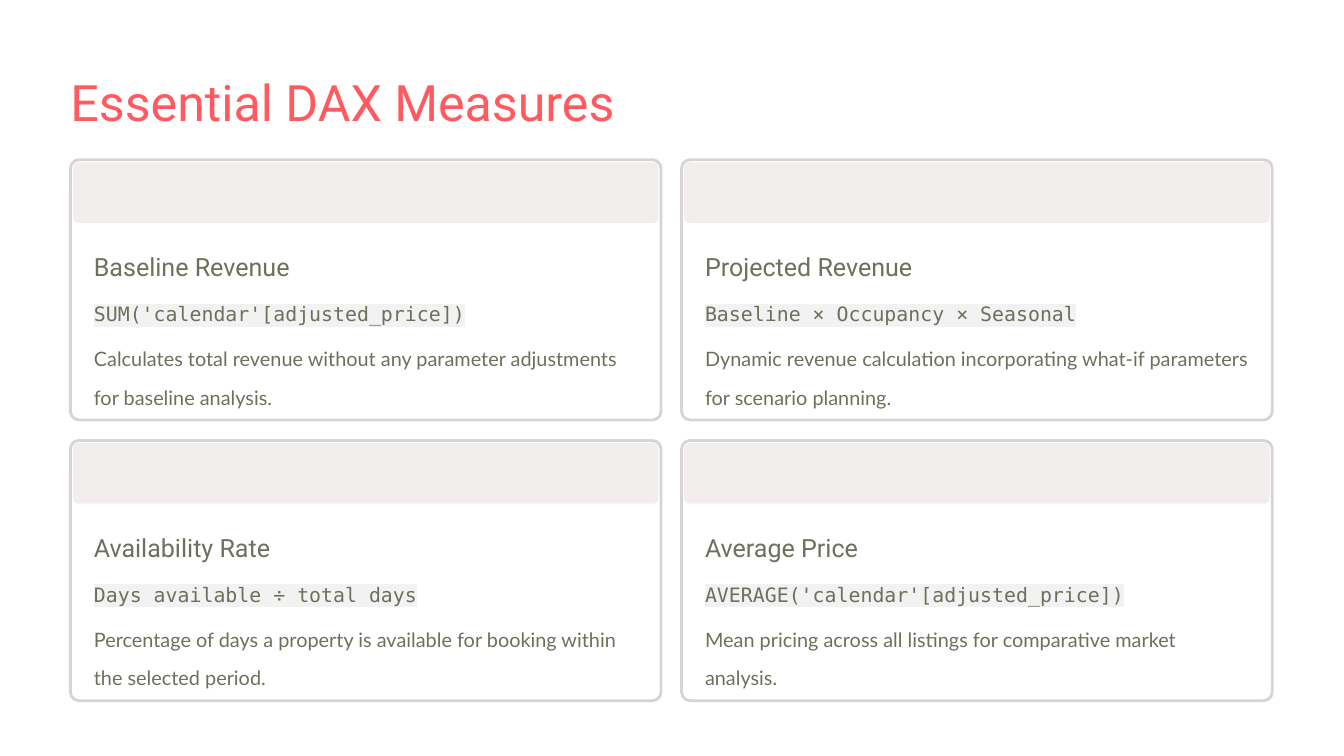
from lxml import etree
from pptx import Presentation
from pptx.dml.color import RGBColor
from pptx.enum.shapes import MSO_SHAPE
from pptx.enum.text import MSO_ANCHOR, MSO_AUTO_SIZE, PP_ALIGN
from pptx.oxml.ns import qn
from pptx.util import Cm, Pt

ROUNDED = MSO_SHAPE.ROUNDED_RECTANGLE
TOP = MSO_ANCHOR.TOP
NO_FIT = MSO_AUTO_SIZE.NONE
LEFT = PP_ALIGN.LEFT

# Content
TITLE = "Essential DAX Measures"
MEASURES = [
    ("Baseline Revenue", "SUM('calendar'[adjusted_price])",
     "Calculates total revenue without any parameter adjustments for baseline analysis."),
    ("Projected Revenue", "Baseline × Occupancy × Seasonal",
     "Dynamic revenue calculation incorporating what-if parameters for scenario planning."),
    ("Availability Rate", "Days available ÷ total days",
     "Percentage of days a property is available for booking within the selected period."),
    ("Average Price", "AVERAGE('calendar'[adjusted_price])",
     "Mean pricing across all listings for comparative market analysis."),
]

# Style
COLORS = {"title": "FF5A5F", "text": "6F6F5D", "card": "FFFFFF",
          "border": "D8D4D4", "band": "F2EEEE", "code": "F2F2F2"}

# Layout in centimetres
COLUMNS = 2
GRID_LEFT, GRID_TOP = 2.13, 4.83
CARD_WIDTH, CARD_HEIGHT, GAP = 17.86, 7.87, 0.62
BAND_INSET, BAND_HEIGHT = 0.08, 1.83
TEXT_INSET, TEXT_WIDTH = 0.71, 16.48
# Offset from card top, width, height, font, size, line spacing, highlight
TEXT_ROWS = [
    (2.54, 7.67, 0.97, "Roboto", 21.5, 1.26, None),
    (3.86, TEXT_WIDTH, 0.99, "DejaVu Sans Mono", 17, 1.62, "code"),
    (5.21, TEXT_WIDTH, 1.96, "Lato", 17, 1.62, None),
]


def rgb(name):
    return RGBColor.from_string(COLORS[name])


def write(box, text, font, size, color, spacing, highlight=None):
    frame = box.text_frame
    frame.text = text
    frame.word_wrap = True
    frame.auto_size = NO_FIT
    frame.vertical_anchor = TOP
    frame.margin_left = frame.margin_right = 0
    frame.margin_top = frame.margin_bottom = 0
    para = frame.paragraphs[0]
    para.alignment = LEFT
    para.line_spacing = spacing
    span = para.runs[0]
    span.font.name = font
    span.font.size = Pt(size)
    span.font.color.rgb = rgb(color)
    if highlight:
        mark = etree.Element(qn("a:highlight"))
        etree.SubElement(mark, qn("a:srgbClr"), val=COLORS[highlight])
        span.font._element.find(qn("a:solidFill")).addnext(mark)


def add_panel(page, left, top, width, height, rounding, fill, border=None):
    panel = page.shapes.add_shape(ROUNDED, Cm(left), Cm(top), Cm(width), Cm(height))
    panel.shadow.inherit = False
    panel.adjustments[0] = rounding
    panel.fill.solid()
    panel.fill.fore_color.rgb = rgb(fill)
    if border:
        panel.line.color.rgb = rgb(border)
        panel.line.width = Pt(2.4)
    else:
        panel.line.fill.background()


def add_card(page, left, top, texts):
    add_panel(page, left, top, CARD_WIDTH, CARD_HEIGHT, 0.033, "card", "border")
    add_panel(page, left + BAND_INSET, top + BAND_INSET,
              CARD_WIDTH - 2 * BAND_INSET, BAND_HEIGHT, 0.085, "band")
    for text, row in zip(texts, TEXT_ROWS):
        offset, width, height, font, size, spacing, highlight = row
        box = page.shapes.add_textbox(Cm(left + TEXT_INSET), Cm(top + offset),
                                      Cm(width), Cm(height))
        write(box, text, font, size, "text", spacing, highlight)


def main():
    deck = Presentation()
    deck.slide_width, deck.slide_height = Cm(40.64), Cm(22.86)
    page = deck.slides.add_slide(deck.slide_layouts[5])

    # Title
    title = page.shapes.title
    title.left, title.top = Cm(GRID_LEFT), Cm(1.68)
    title.width, title.height = Cm(16.66), Cm(1.9)
    write(title, TITLE, "Roboto", 43, "title", 1.26)

    # Grid of measure cards
    for index, measure in enumerate(MEASURES):
        row, column = divmod(index, COLUMNS)
        add_card(page, GRID_LEFT + column * (CARD_WIDTH + GAP),
                 GRID_TOP + row * (CARD_HEIGHT + GAP), measure)

    deck.save("out.pptx")


if __name__ == "__main__":
    main()
